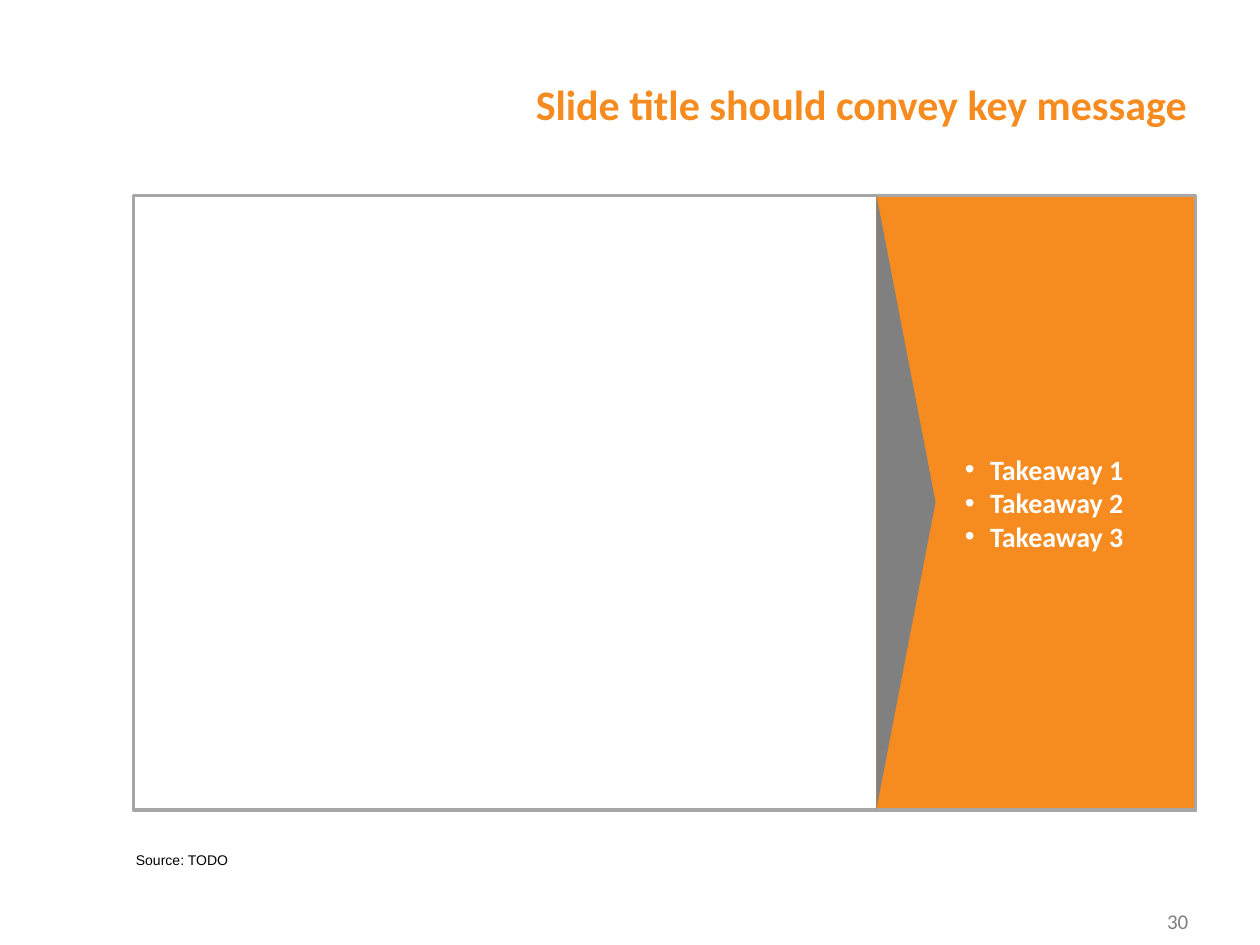
from lxml.etree import SubElement
from pptx import Presentation
from pptx.dml.color import RGBColor
from pptx.enum.shapes import MSO_SHAPE
from pptx.enum.text import MSO_ANCHOR, PP_ALIGN
from pptx.oxml.ns import qn
from pptx.util import Emu, Pt

EMU_PER_PX = 9144  # 100 px to the inch

ORANGE = RGBColor(0xF6, 0x8B, 0x1F)
GREY = RGBColor(0x80, 0x80, 0x80)
FRAME_GREY = RGBColor(0xA6, 0xA6, 0xA6)
WHITE = RGBColor(0xFF, 0xFF, 0xFF)
BLACK = RGBColor(0, 0, 0)


def px(length):
    return Emu(length * EMU_PER_PX)


def add_bullet(paragraph, indent, hanging):
    properties = paragraph._p.get_or_add_pPr()
    properties.set("marL", str(px(indent)))
    properties.set("indent", str(-px(hanging)))
    SubElement(properties, qn("a:buFont"), typeface="Arial")
    SubElement(properties, qn("a:buChar"), char="•")


def write_text(frame, *lines, size, color, font="Calibri", bold=False,
               align=PP_ALIGN.LEFT, anchor=MSO_ANCHOR.TOP, spacing=None, bullets=False):
    frame.word_wrap = True
    frame.vertical_anchor = anchor
    for index, line in enumerate(lines):
        paragraph = frame.add_paragraph() if index else frame.paragraphs[0]
        paragraph.alignment = align
        if spacing:
            paragraph.line_spacing = Pt(spacing)
        if bullets:
            add_bullet(paragraph, indent=79, hanging=20)
        run = paragraph.add_run()
        run.text = line
        run.font.name = font
        run.font.size = Pt(size)
        run.font.bold = bold
        run.font.color.rgb = color


class SlideBuilder:
    line_width = Pt(2)

    def __init__(self, slide):
        self.slide = slide

    def shape(self, preset, left, top, width, height, fill=None, line=None, rotation=0):
        shape = self.slide.shapes.add_shape(preset, px(left), px(top), px(width), px(height))
        shape.shadow.inherit = False
        shape.rotation = rotation
        if fill is None:
            shape.fill.background()
        else:
            shape.fill.solid()
            shape.fill.fore_color.rgb = fill
        if line is None:
            shape.line.fill.background()
        else:
            shape.line.color.rgb = line
            shape.line.width = self.line_width
        return shape

    def text(self, left, top, width, height, *lines, **text_format):
        box = self.slide.shapes.add_textbox(px(left), px(top), px(width), px(height))
        write_text(box.text_frame, *lines, **text_format)


def main():
    presentation = Presentation()
    presentation.slide_width, presentation.slide_height = px(1000), px(750)
    builder = SlideBuilder(presentation.slides.add_slide(presentation.slide_layouts[6]))

    frame_left, frame_top, frame_width, frame_height = 106, 155, 843, 488
    panel_left, panel_width = 697, 252
    arrow_left, arrow_depth = 695, 47

    takeaways = builder.shape(MSO_SHAPE.RECTANGLE, panel_left, frame_top, panel_width,
                              frame_height, fill=ORANGE, line=ORANGE)
    write_text(takeaways.text_frame, *(f"Takeaway {number}" for number in range(1, 4)),
               size=16, color=WHITE, bold=True, anchor=MSO_ANCHOR.MIDDLE, bullets=True)

    builder.text(335, 0, 617, 107, "Slide title should convey key message", size=24,
                 color=ORANGE, bold=True, align=PP_ALIGN.RIGHT,
                 anchor=MSO_ANCHOR.BOTTOM, spacing=29)
    builder.text(720, 716, 233, 37, "30", size=12, color=GREY, align=PP_ALIGN.RIGHT)

    builder.shape(MSO_SHAPE.RECTANGLE, frame_left, frame_top, frame_width, frame_height,
                  line=FRAME_GREY)
    builder.text(98, 671, 417, 23, "Source: TODO", size=8, color=BLACK, font="Arial")

    # A quarter turn about the centre swaps the triangle's width and height.
    turn_shift = (frame_height - arrow_depth) // 2
    builder.shape(MSO_SHAPE.ISOSCELES_TRIANGLE, arrow_left - turn_shift,
                  frame_top + turn_shift, frame_height, arrow_depth, fill=GREY, rotation=90)

    presentation.save("out.pptx")


if __name__ == "__main__":
    main()
